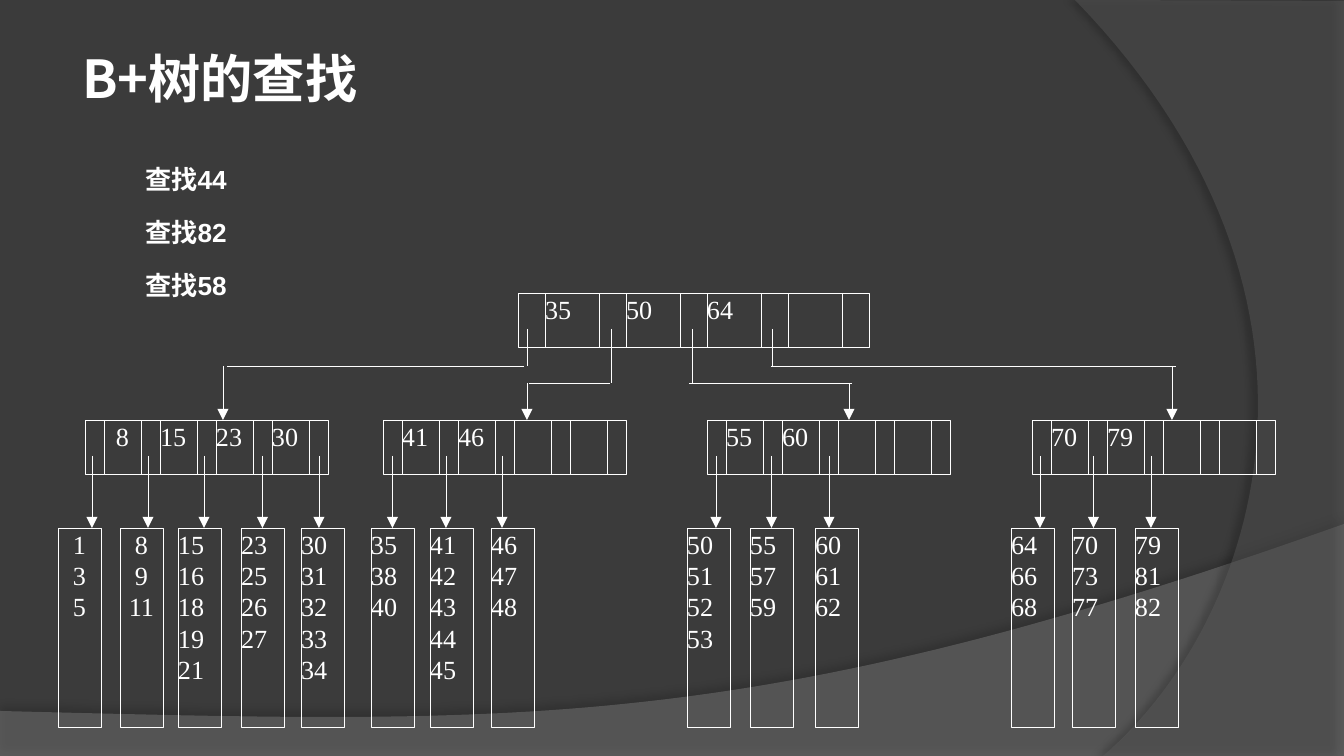
"""Draw the slide on searching a B+ tree."""
from lxml.etree import SubElement
from pptx import Presentation
from pptx.dml.color import RGBColor
from pptx.enum.shapes import MSO_CONNECTOR as CONN, MSO_SHAPE as SHAPE
from pptx.enum.text import MSO_ANCHOR as ANCHOR, PP_ALIGN as ALIGN
from pptx.oxml.ns import qn
from pptx.util import Emu, Pt

SCALE = 914400 / 134.4
WHITE = "FFFFFF"
SERIF, CJK = "Times New Roman", "Noto Sans CJK SC"

NODE_H, INNER_Y = 54, 420
LEAF_Y, LEAF_W, LEAF_H = 528, 43, 199
INNER_NODES = [
    (85, [8, 15, 23, 30]),
    (383, [41, 46]),
    (707, [55, 60]),
    (1032, [70, 79]),
]
ROOT_LINKS = [
    (527, 366, 524, 227, 223),
    (611, 383, 610, 529, 527),
    (692, 383, 689, 852, 849),
    (772, 366, 771, 1176, 1172),
]
LEAVES = [
    (58, 92, [1, 3, 5]),
    (120, 148, [8, 9, 11]),
    (178, 204, [15, 16, 18, 19, 21]),
    (241, None, [23, 25, 26, 27]),
    (301, 319, [30, 31, 32, 33, 34]),
    (371, None, [35, 38, 40]),
    (430, 446, [41, 42, 43, 44, 45]),
    (491, 502, [46, 47, 48]),
    (687, 716, [50, 51, 52, 53]),
    (750, None, [55, 57, 59]),
    (815, 829, [60, 61, 62]),
    (1011, 1040, [64, 66, 68]),
    (1072, None, [70, 73, 77]),
    (1135, 1151, [79, 81, 82]),
]


def px(n):
    return Emu(round(n * SCALE))


def color(value):
    return RGBColor.from_string(value)


def bezier(p0, p1, p2, p3, steps=60):
    for i in range(steps + 1):
        t = i / steps
        u = 1 - t
        yield tuple(u**3 * a + 3 * u * u * t * b + 3 * u * t * t * c + t**3 * d
                    for a, b, c, d in zip(p0, p1, p2, p3))


class Deck:
    def __init__(self, width, height, background):
        self.prs = Presentation()
        self.prs.slide_width, self.prs.slide_height = px(width), px(height)
        self.s = self.prs.slides.add_slide(self.prs.slide_layouts[6])
        fill = self.s.background.fill
        fill.solid()
        fill.fore_color.rgb = color(background)

    def style(self, p, size, font, bold=False):
        for r in p.runs:
            r.font.size, r.font.name, r.font.bold = Pt(size), font, bold
            r.font.color.rgb = color(WHITE)
            SubElement(r._r.get_or_add_rPr(), qn("a:ea"), typeface=CJK)

    def swoosh(self, points, fill, opacity, shade, distance, angle):
        points = [(px(x), px(y)) for x, y in points]
        builder = self.s.shapes.build_freeform(*points[0], scale=1)
        builder.add_line_segments(points[1:], close=True)
        sp = builder.convert_to_shape()
        sp.fill.solid()
        sp.fill.fore_color.rgb = color(fill)
        sp.line.fill.background()
        sp.shadow.inherit = False
        spPr = sp._element.spPr
        clr = spPr.find(qn("a:solidFill")).find(qn("a:srgbClr"))
        SubElement(clr, qn("a:alpha"), val=str(opacity * 1000))
        shadow = SubElement(spPr.find(qn("a:effectLst")), qn("a:outerShdw"),
                            blurRad=str(Pt(4)), dist=str(Pt(distance)),
                            dir=str(angle * 60000), algn="ctr", rotWithShape="0")
        clr = SubElement(shadow, qn("a:srgbClr"), val="000000")
        SubElement(clr, qn("a:alpha"), val=str(shade * 1000))

    def text(self, x, y, w, h, text, size, font):
        tf = self.s.shapes.add_textbox(px(x), px(y), px(w), px(h)).text_frame
        tf.word_wrap = True
        tf.vertical_anchor = ANCHOR.MIDDLE
        tf.text = text
        self.style(tf.paragraphs[0], size, font, bold=True)

    def box(self, x, y, w, h, values=()):
        sp = self.s.shapes.add_shape(SHAPE.RECTANGLE, px(x), px(y), px(w), px(h))
        sp.shadow.inherit = False
        sp.fill.background()
        sp.line.color.rgb = color(WHITE)
        sp.line.width = Pt(0.25)
        if values:
            tf = sp.text_frame
            tf.margin_left = tf.margin_right = tf.margin_top = tf.margin_bottom = 0
            tf.vertical_anchor = ANCHOR.TOP
            tf.text = "\n".join(map(str, values))
            for p in tf.paragraphs:
                p.alignment = ALIGN.CENTER if values[0] < 10 else ALIGN.JUSTIFY
                self.style(p, 14, SERIF)
        return sp

    def node(self, x, y, pointer_w, key_w, keys):
        pitch = pointer_w + key_w
        for i in range(5):
            self.box(x + i * pitch, y, pointer_w, NODE_H)
        for i in range(4):
            self.box(x + i * pitch + pointer_w, y, key_w, NODE_H, keys[i:i + 1])

    def line(self, x1, y1, x2, y2, arrow=False):
        c = self.s.shapes.add_connector(CONN.STRAIGHT, px(x1), px(y1), px(x2), px(y2))
        c.line.color.rgb = color(WHITE)
        c.line.width = Pt(0.25)
        if arrow:
            SubElement(c.line._get_or_add_ln(), qn("a:tailEnd"), type="triangle")
        SubElement(c._element.spPr, qn("a:effectLst"))
        return c

    def leaf(self, x, arrow_x, values):
        sp = self.box(x, LEAF_Y, LEAF_W, LEAF_H, values)
        top = arrow_x or x + LEAF_W // 2
        c = self.line(top, 456, top, LEAF_Y, arrow=True)
        if arrow_x is None:
            c.end_connect(sp, 0)
            c.begin_x = c.end_x


def main():
    deck = Deck(1344, 756, "3B3B3B")
    deck.swoosh([(0, 711), (0, 756), (1344, 756),
                 *bezier((1344, 524), (751, 735), (525, 724), (0, 711))],
                "7F7F7F", 45, 35, 3.5, 270)
    deck.swoosh([(1344, 1), (1344, 756),
                 *bezier((1103, 756), (1257, 624), (1368, 302), (1075, 0))],
                "5E5E5E", 40, 45, 4, 180)
    deck.text(69, 39, 1122, 77, "B+树的查找", 28, CJK)
    for i, key in enumerate([44, 82, 58]):
        deck.text(132, 156 + 53 * i, 180, 46, f"查找{key}", 14, "Arial")

    deck.node(518, 293, 27, 54, [35, 50, 64])
    for x, keys in INNER_NODES:
        deck.node(x, INNER_Y, 19, 37, keys)
    for start, bend, left, right, end in ROOT_LINKS:
        deck.line(start, 329, start, bend)
        deck.line(left, bend, right, bend)
        deck.line(end, bend, end, INNER_Y, arrow=True)
    for x, arrow_x, values in LEAVES:
        deck.leaf(x, arrow_x, values)
    deck.prs.save("out.pptx")


if __name__ == "__main__":
    main()
